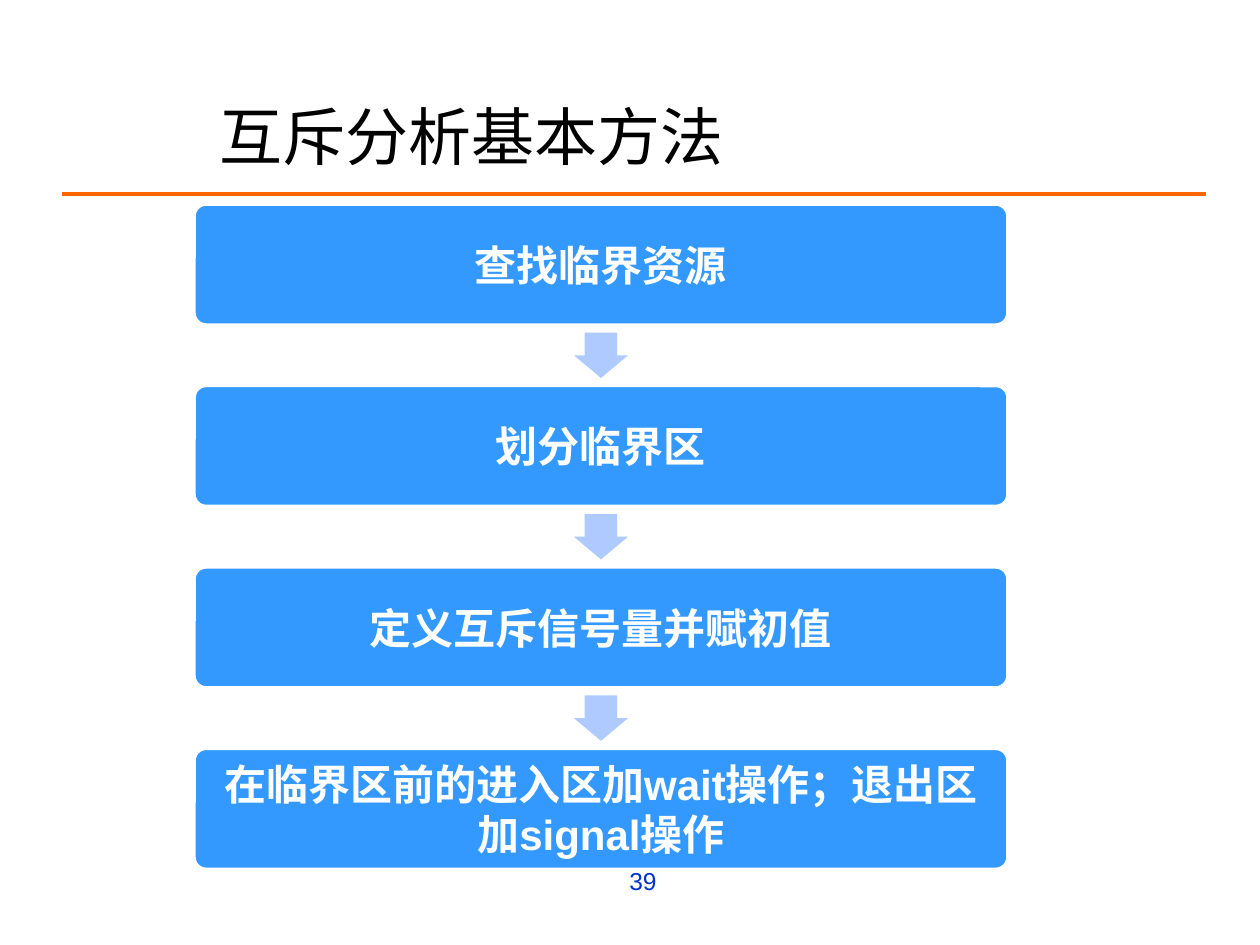
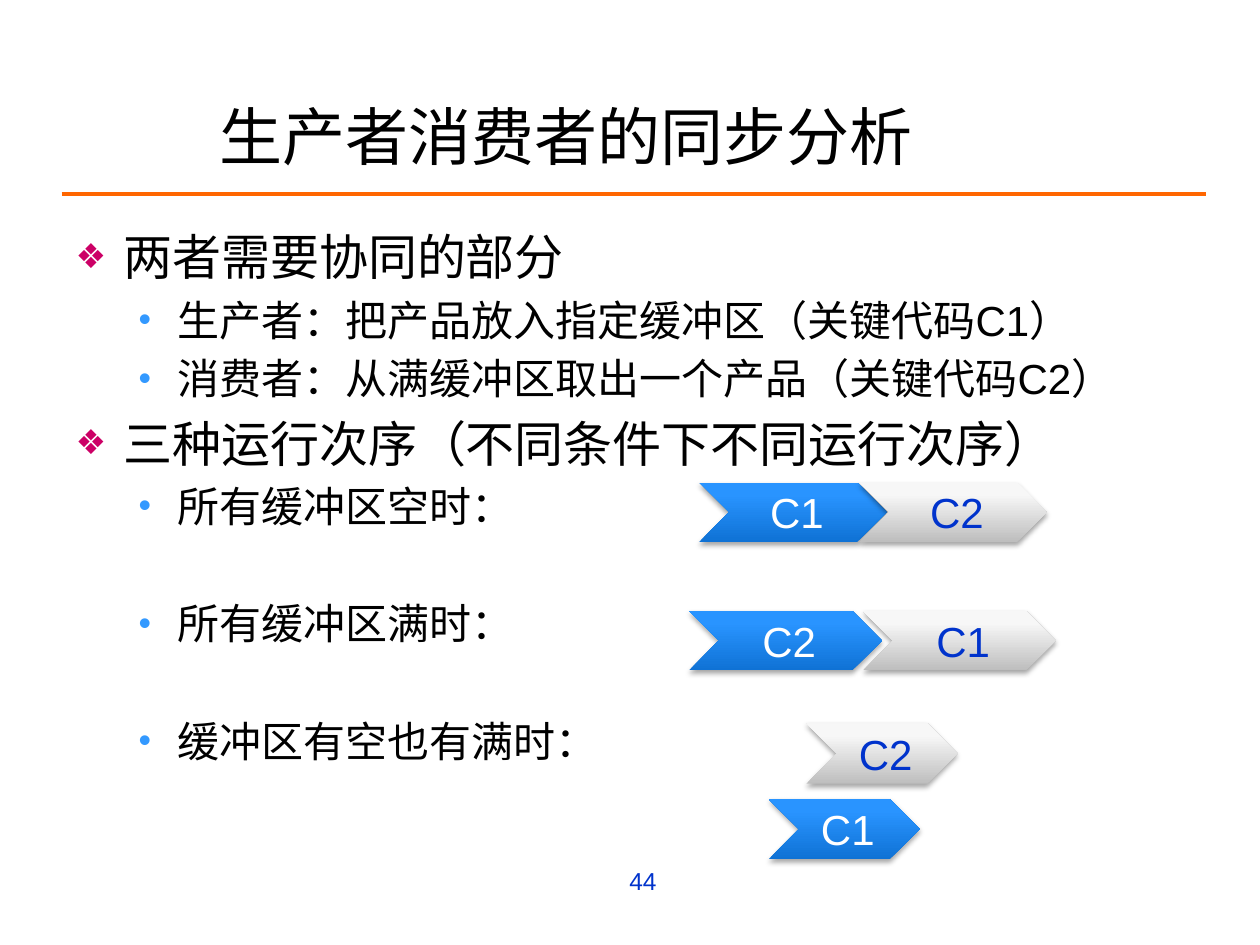
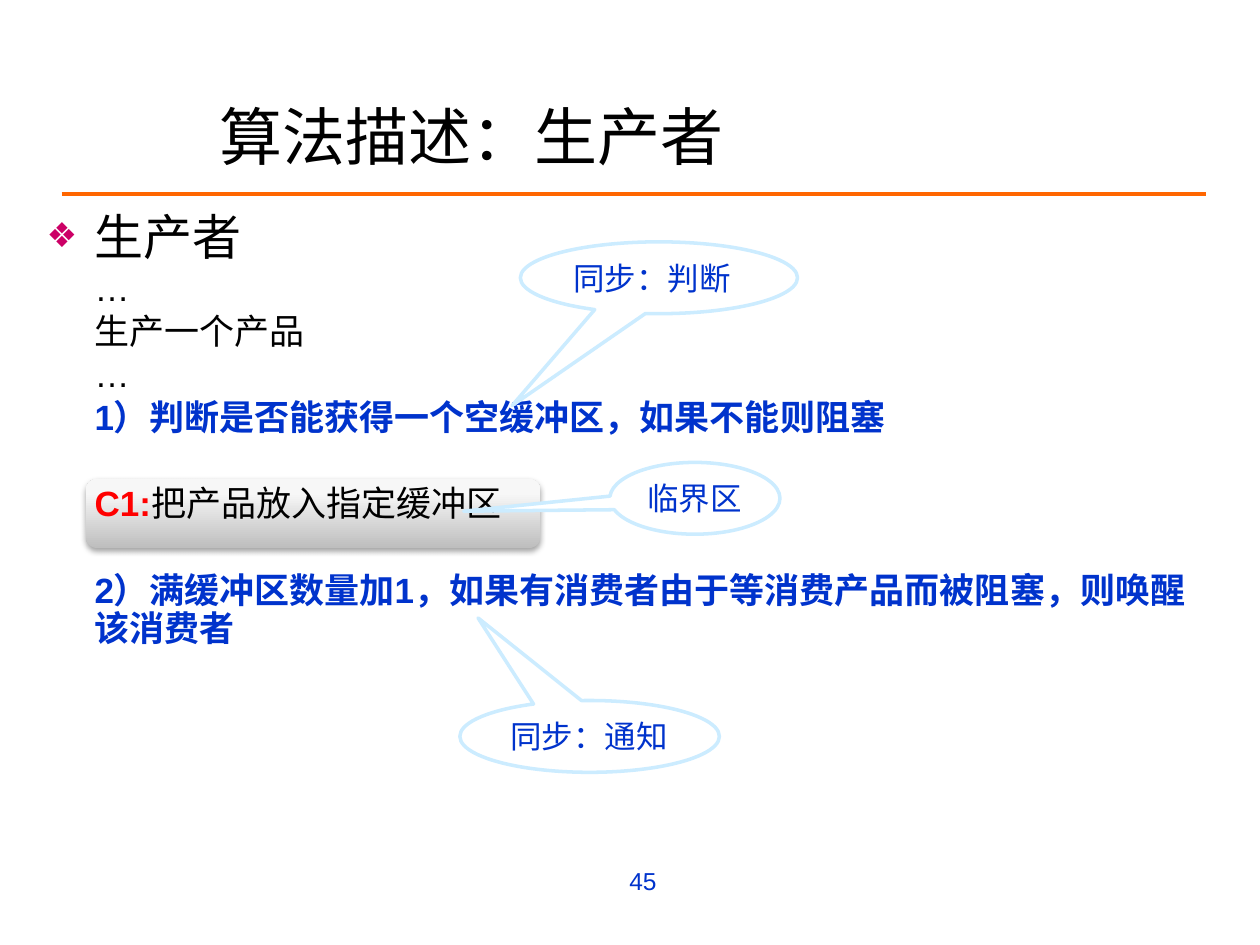
from dataclasses import dataclass
from typing import NamedTuple, Optional

from lxml.etree import SubElement
from pptx import Presentation
from pptx.dml.color import RGBColor
from pptx.enum.shapes import MSO_CONNECTOR, MSO_SHAPE
from pptx.enum.text import MSO_ANCHOR, MSO_AUTO_SIZE, PP_ALIGN
from pptx.oxml.ns import qn
from pptx.util import Inches, Pt


@dataclass(frozen=True)
class Theme:
    """Colours, font and type sizes of the deck."""
    font: str = "Arial"
    black: str = "000000"
    white: str = "FFFFFF"
    navy: str = "0033CC"
    red: str = "FF0000"
    orange: str = "FF6600"
    blue: str = "3399FF"
    pale_blue: str = "AECAFF"
    callout_line: str = "CCECFF"
    magenta: str = "CC0066"
    blue_gradient: tuple = ((0, "0F72D5"), (80, "2994FF"), (100, "2B95FF"))
    gray_gradient: tuple = ((0, "BEBEBE"), (80, "F7F7F7"), (100, "F8F8F8"))
    title_size: float = 36
    heading_size: float = 28
    item_size: float = 24
    code_size: float = 20
    callout_size: float = 18
    number_size: float = 14


THEME = Theme()


class Box(NamedTuple):
    """Position and size in inches."""
    left: float
    top: float
    width: float
    height: float

    def lengths(self) -> list:
        """Return the four values as lengths."""
        return [Inches(value) for value in self]


class Bullet(NamedTuple):
    """Bullet character with its colour and relative size."""
    character: str
    color: str
    percent: int


class Style(NamedTuple):
    """Paragraph format of a body list."""
    size: float
    margin: float
    indent: float
    before: float
    level: int = 0
    bullet: Optional[Bullet] = None
    line_spacing: Optional[float] = None


class Span(NamedTuple):
    """Piece of text with one colour and weight."""
    text: str
    color: str = THEME.black
    bold: bool = False


class Item(NamedTuple):
    """Body paragraph; before replaces the space of its style."""
    style: Style
    spans: tuple
    before: Optional[float] = None


class Chevron(NamedTuple):
    """Labelled step of an execution order."""
    text: str
    box: Box
    first: bool


class Callout(NamedTuple):
    """Labelled ellipse with a pointer."""
    text: str
    box: Box
    pointer: tuple
    wrap: bool = False


HEADING = Style(THEME.heading_size, 0.38, -0.38, 5.6,
                bullet=Bullet("❖", THEME.magenta, 70))
ITEM = Style(THEME.item_size, 0.81, -0.31, 4.8, level=1,
             bullet=Bullet("•", THEME.blue, 85))
CODE = Style(THEME.code_size, 0.38, 0, 3, line_spacing=0.9)
ITEM_GAP = 38.4
CODE_GAP = 28

STEPS = ("查找临界资源", "划分临界区", "定义互斥信号量并赋初值",
         "在临界区前的进入区加wait操作；退出区加signal操作")
FIRST_STEP = Box(1.54, 1.62, 6.46, 0.96)
STEP_PITCH = 1.44
ARROW_WIDTH, ARROW_HEIGHT = 0.43, 0.36

ANALYSIS = (
    Item(HEADING, (Span("两者需要协同的部分"),)),
    Item(ITEM, (Span("生产者：把产品放入指定缓冲区（关键代码C1）"),)),
    Item(ITEM, (Span("消费者：从满缓冲区取出一个产品（关键代码C2）"),)),
    Item(HEADING, (Span("三种运行次序（不同条件下不同运行次序）"),)),
    Item(ITEM, (Span("所有缓冲区空时："),)),
    Item(ITEM, (Span("所有缓冲区满时："),), ITEM_GAP),
    Item(ITEM, (Span("缓冲区有空也有满时："),), ITEM_GAP),
)
CHEVRONS = (
    Chevron("C1", Box(5.55, 3.83, 1.49, 0.47), True),
    Chevron("C2", Box(6.82, 3.83, 1.49, 0.47), False),
    Chevron("C2", Box(5.47, 4.85, 1.53, 0.47), True),
    Chevron("C1", Box(6.85, 4.85, 1.53, 0.47), False),
    Chevron("C1", Box(6.1, 6.34, 1.2, 0.48), True),
    Chevron("C2", Box(6.4, 5.74, 1.2, 0.48), False),
)

PRODUCER = (
    Item(HEADING, (Span("生产者"),)),
    Item(CODE, (Span("…"),)),
    Item(CODE, (Span("生产一个产品"),)),
    Item(CODE, (Span("…"),)),
    Item(CODE, (Span("1）判断是否能获得一个空缓冲区，如果不能则阻塞", THEME.navy, True),)),
    Item(CODE, (Span("C1:", THEME.red, True), Span("把产品放入指定缓冲区")), CODE_GAP),
    Item(CODE, (Span("2）满缓冲区数量加1，如果有消费者由于等消费产品而被阻塞，则唤醒该消费者",
                     THEME.navy, True),), CODE_GAP),
)
CALLOUTS = (
    Callout("临界区", Box(4.84, 3.67, 1.35, 0.57), (-1.36, 0.18)),
    Callout("同步：判断", Box(4.13, 1.92, 2.2, 0.57), (-0.53, 1.78), True),
    Callout("同步：通知", Box(3.65, 5.56, 2.06, 0.57), (-0.43, -1.65)),
)


def rgb(color: str) -> RGBColor:
    """Return a colour from its hexadecimal form."""
    return RGBColor.from_string(color)


def add_text(paragraph, text: str, *, size: float, color: str = THEME.black,
             bold: bool = False, align=PP_ALIGN.LEFT) -> None:
    """Append formatted text to a paragraph."""
    paragraph.alignment = align
    run = paragraph.add_run()
    run.text = text
    run.font.name = THEME.font
    run.font.size = Pt(size)
    run.font.bold = bold
    run.font.color.rgb = rgb(color)


def set_insets(frame, left: float, top: float, right: float, bottom: float) -> None:
    """Set the inner margins of a text frame."""
    frame.margin_left, frame.margin_top = Inches(left), Inches(top)
    frame.margin_right, frame.margin_bottom = Inches(right), Inches(bottom)


def place(shape, box: Box) -> None:
    """Move and size a shape."""
    shape.left, shape.top, shape.width, shape.height = box.lengths()


def add_bullet(paragraph, bullet: Optional[Bullet]) -> None:
    """Give a paragraph its bullet, or none."""
    properties = paragraph._p.get_or_add_pPr()
    if bullet is None:
        SubElement(properties, qn("a:buNone"))
        return
    color = SubElement(properties, qn("a:buClr"))
    SubElement(color, qn("a:srgbClr"), val=bullet.color)
    SubElement(properties, qn("a:buSzPct"), val=str(bullet.percent * 1000))
    SubElement(properties, qn("a:buFont"), typeface=THEME.font)
    SubElement(properties, qn("a:buChar"), char=bullet.character)


def add_body(slide, box: Box, items: tuple):
    """Fill the body placeholder with a list."""
    body = slide.placeholders[1]
    place(body, box)
    frame = body.text_frame
    frame.auto_size = MSO_AUTO_SIZE.NONE
    for index, item in enumerate(items):
        style = item.style
        paragraph = frame.add_paragraph() if index else frame.paragraphs[0]
        paragraph.level = style.level
        properties = paragraph._p.get_or_add_pPr()
        properties.set("marL", str(Inches(style.margin)))
        properties.set("indent", str(Inches(style.indent)))
        add_bullet(paragraph, style.bullet)
        before = style.before if item.before is None else item.before
        paragraph.space_before = Pt(before if index else 0)
        if style.line_spacing:
            paragraph.line_spacing = style.line_spacing
        for span in item.spans:
            add_text(paragraph, span.text, size=style.size, color=span.color,
                     bold=span.bold)
    return body


def add_preset(slide, preset, box: Box, *, fill: Optional[str] = None,
               line: Optional[str] = None, adjustments: tuple = ()):
    """Add a preset shape without a shadow."""
    shape = slide.shapes.add_shape(preset, *box.lengths())
    shape.shadow.inherit = False
    for index, value in enumerate(adjustments):
        shape.adjustments[index] = value
    if fill:
        shape.fill.solid()
        shape.fill.fore_color.rgb = rgb(fill)
    if line:
        shape.line.color.rgb = rgb(line)
        shape.line.width = Pt(2)
    else:
        shape.line.fill.background()
    return shape


def add_glossy(slide, preset, box: Box, gradient: tuple):
    """Add a preset shape with a vertical gradient and a soft shadow."""
    shape = add_preset(slide, preset, box)
    shape.fill.gradient()
    shape.fill.gradient_angle = 90
    properties = shape.element.spPr
    stops = properties.find(".//" + qn("a:gsLst"))
    for stop in list(stops):
        stops.remove(stop)
    for position, color in gradient:
        stop = SubElement(stops, qn("a:gs"), pos=str(position * 1000))
        SubElement(stop, qn("a:srgbClr"), val=color)
    shadow = SubElement(properties.find(qn("a:effectLst")), qn("a:outerShdw"),
                        blurRad=str(Pt(3.1)), dist=str(Pt(1.8)), dir="5400000",
                        rotWithShape="0")
    color = SubElement(shadow, qn("a:srgbClr"), val=THEME.black)
    SubElement(color, qn("a:alpha"), val="35000")
    return shape


def add_slide(presentation, layout: int, title: str, number: int):
    """Add a slide with its title, rule and number."""
    slide = presentation.slides.add_slide(presentation.slide_layouts[layout])
    heading = slide.shapes.title
    place(heading, Box(1.64, 0.75, 7.26, 0.64))
    heading.text_frame.auto_size = MSO_AUTO_SIZE.NONE
    heading.text_frame.vertical_anchor = MSO_ANCHOR.MIDDLE
    add_text(heading.text_frame.paragraphs[0], title, size=THEME.title_size)

    rule = slide.shapes.add_connector(MSO_CONNECTOR.STRAIGHT, Inches(0.49),
                                      Inches(1.54), Inches(9.57), Inches(1.54))
    rule.line.color.rgb = rgb(THEME.orange)
    rule.line.width = Pt(2.25)
    SubElement(rule.element.spPr, qn("a:effectLst"))

    footer = slide.shapes.add_textbox(*Box(2.8, 6.82, 2.51, 0.52).lengths())
    footer.text_frame.word_wrap = True
    add_text(footer.text_frame.paragraphs[0], str(number), size=THEME.number_size,
             color=THEME.navy, align=PP_ALIGN.RIGHT)
    return slide


def add_step(slide, index: int, text: str) -> None:
    """Add one step, with an arrow from the step above."""
    box = FIRST_STEP._replace(top=FIRST_STEP.top + index * STEP_PITCH)
    if index:
        gap = STEP_PITCH - box.height
        arrow = Box(box.left + (box.width - ARROW_WIDTH) / 2,
                    box.top - (gap + ARROW_HEIGHT) / 2, ARROW_WIDTH, ARROW_HEIGHT)
        add_preset(slide, MSO_SHAPE.DOWN_ARROW, arrow, fill=THEME.pale_blue,
                   adjustments=(0.6, 0.5))
    step = add_preset(slide, MSO_SHAPE.ROUNDED_RECTANGLE, box, fill=THEME.blue,
                      line=THEME.white, adjustments=(0.1,))
    set_insets(step.text_frame, 0.1, 0.1, 0.1, 0.1)
    add_text(step.text_frame.paragraphs[0], text, size=THEME.item_size,
             color=THEME.white, bold=True, align=PP_ALIGN.CENTER)


def add_chevron(slide, chevron: Chevron) -> None:
    """Add one chevron of an execution order."""
    gradient = THEME.blue_gradient if chevron.first else THEME.gray_gradient
    shape = add_glossy(slide, MSO_SHAPE.CHEVRON, chevron.box, gradient)
    set_insets(shape.text_frame, 0.1, 0.04, 0.04, 0.04)
    add_text(shape.text_frame.paragraphs[0], chevron.text, size=THEME.item_size,
             color=THEME.white if chevron.first else THEME.navy,
             align=PP_ALIGN.CENTER)


def add_callout(slide, callout: Callout) -> None:
    """Add one elliptical callout."""
    shape = add_preset(slide, MSO_SHAPE.OVAL_CALLOUT, callout.box, fill=THEME.white,
                       line=THEME.callout_line, adjustments=callout.pointer)
    frame = shape.text_frame
    frame.word_wrap = callout.wrap
    frame.vertical_anchor = MSO_ANCHOR.TOP
    add_text(frame.paragraphs[0], callout.text, size=THEME.callout_size,
             color=THEME.navy)


def main() -> None:
    """Build and save the three slides."""
    presentation = Presentation()
    presentation.slide_width, presentation.slide_height = Inches(10), Inches(7.5)

    method = add_slide(presentation, 5, "互斥分析基本方法", 39)
    for index, text in enumerate(STEPS):
        add_step(method, index, text)

    analysis = add_slide(presentation, 1, "生产者消费者的同步分析", 44)
    add_body(analysis, Box(0.5, 1.75, 9, 4.95), ANALYSIS)
    for chevron in CHEVRONS:
        add_chevron(analysis, chevron)

    producer = add_slide(presentation, 1, "算法描述：生产者", 45)
    body = add_body(producer, Box(0.27, 1.59, 9.37, 4.95), PRODUCER)
    panel = add_glossy(producer, MSO_SHAPE.ROUNDED_RECTANGLE,
                       Box(0.68, 3.8, 3.61, 0.55), THEME.gray_gradient)
    body.element.addprevious(panel.element)
    for callout in CALLOUTS:
        add_callout(producer, callout)

    presentation.save("out.pptx")


if __name__ == "__main__":
    main()
